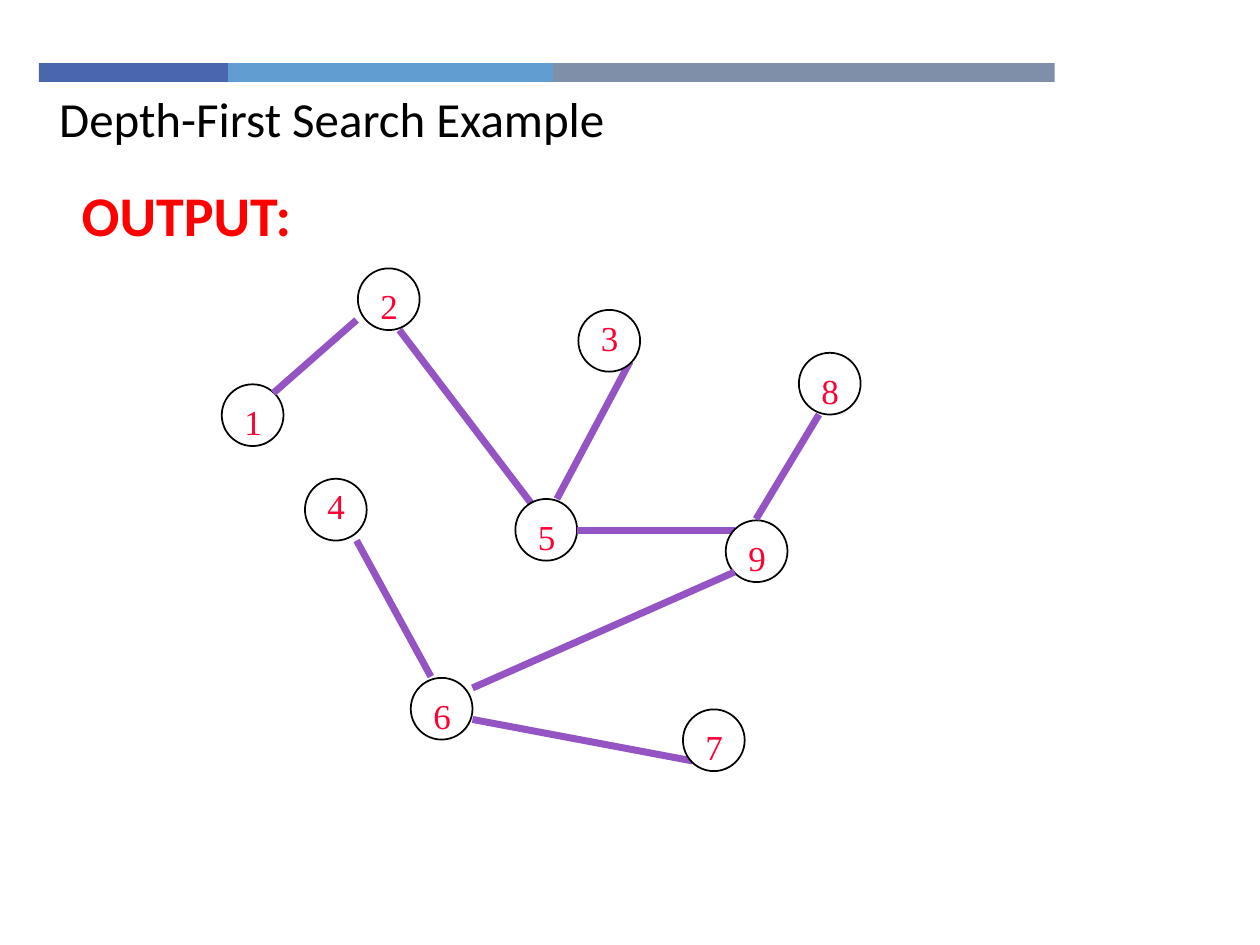
import dataclasses

import pptx
import pptx.dml.color
import pptx.enum.shapes
import pptx.enum.text
import pptx.util
from lxml import etree

Inches = pptx.util.Inches
Shape = pptx.enum.shapes.MSO_SHAPE
Fit = pptx.enum.text.MSO_AUTO_SIZE


@dataclasses.dataclass(frozen=True)
class Theme:
    bars: tuple = ("4A66AC", "629DD1", "7F8FA9")
    paper: str = "FFFFFF"
    ink: str = "000000"
    edge: str = "9454C3"
    digit: str = "FF0033"
    alert: str = "FF0000"
    sans: str = "Calibri"
    serif: str = "Times New Roman"
    title: int = 28
    head: int = 32
    label: int = 20
    thin: int = 1
    thick: int = 4


THEME = Theme()
BARS = (1.5, 2.58, 3.98)
SIZE = 0.49

# Nodes in drawing order: label, left, top, drop of the digit box
NODES = [
    ("1", 1.76, 3.05, 0.08),
    ("2", 2.84, 2.13, 0.08),
    ("5", 4.09, 3.96, 0.08),
    ("9", 5.76, 4.13, 0.08),
    ("8", 6.34, 2.8, 0.08),
    ("6", 3.26, 5.38, 0.08),
    ("4", 2.42, 3.8, 0),
    ("7", 5.42, 5.63, 0.08),
    ("3", 4.59, 2.46, 0),
]
# The tree edge that follows each node but the last: x1, y1, x2, y2
EDGES = [
    (2.83, 2.54, 2.17, 3.12),
    (3.17, 2.62, 4.25, 4.04),
    (4.58, 4.21, 5.83, 4.21),
    (6.5, 3.29, 6, 4.12),
    (3.75, 5.46, 5.83, 4.54),
    (2.83, 4.29, 3.42, 5.37),
    (3.75, 5.71, 5.5, 6.04),
    (5, 2.87, 4.42, 3.96),
]


def rgb(code):
    return pptx.dml.color.RGBColor.from_string(code)


def inch(*nums):
    return [Inches(n) for n in nums]


def write(shape, text, size, face, color, bold=False, fit=Fit.SHAPE_TO_FIT_TEXT):
    frame = shape.text_frame
    frame.text = text
    look = {
        "word_wrap": True,
        "auto_size": fit,
        "vertical_anchor": pptx.enum.text.MSO_ANCHOR.TOP,
    }
    for key, val in look.items():
        setattr(frame, key, val)
    para = frame.paragraphs[0]
    para.alignment = pptx.enum.text.PP_ALIGN.LEFT
    font = para.runs[0].font
    for key, val in {"size": pptx.util.Pt(size), "name": face, "bold": bold}.items():
        setattr(font, key, val)
    font.color.rgb = rgb(color)


def solid(parent, kind, box, color):
    """Add a filled preset shape with no outline and no shadow."""
    shape = parent.add_shape(kind, *inch(*box))
    shape.shadow.inherit = False
    shape.fill.solid()
    shape.fill.fore_color.rgb = rgb(color)
    shape.line.fill.background()
    return shape


def banner(slide, left, top, height):
    group = slide.shapes.add_group_shape()
    for width, color in zip(BARS, THEME.bars):
        solid(group.shapes, Shape.RECTANGLE, (left, top, width, height), color)
        left += width


def title(slide, box):
    shape = slide.shapes.title
    for key, val in zip(("left", "top", "width", "height"), inch(*box)):
        setattr(shape, key, val)
    write(shape, "Depth-First Search Example", THEME.title, THEME.sans,
          THEME.ink, fit=Fit.NONE)


def head(slide, box):
    write(slide.shapes.add_textbox(*inch(*box)), "OUTPUT:", THEME.head,
          THEME.sans, THEME.alert, bold=True)


def node(slide, label, left, top, drop):
    group = slide.shapes.add_group_shape()
    disc = solid(group.shapes, Shape.OVAL, (left, top, SIZE, SIZE), THEME.paper)
    disc.line.color.rgb = rgb(THEME.ink)
    disc.line.width = pptx.util.Pt(THEME.thin)
    text = group.shapes.add_textbox(*inch(left + 0.08, top + drop, 0.25, 0.43))
    write(text, label, THEME.label, THEME.serif, THEME.digit)


def edge(slide, ends):
    line = slide.shapes.add_connector(
        pptx.enum.shapes.MSO_CONNECTOR.STRAIGHT, *inch(*ends))
    line.line.color.rgb = rgb(THEME.edge)
    line.line.width = pptx.util.Pt(THEME.thick)
    props = line._element.spPr
    etree.SubElement(props, pptx.oxml.ns.qn("a:effectLst"))


def tree(slide, left, top):
    """Draw the search tree, nodes and edges stacked in turn."""
    dx, dy = left - NODES[0][1], top - NODES[1][2]
    for spot, (label, x, y, drop) in enumerate(NODES):
        node(slide, label, x + dx, y + dy, drop)
        if spot < len(EDGES):
            x1, y1, x2, y2 = EDGES[spot]
            edge(slide, (x1 + dx, y1 + dy, x2 + dx, y2 + dy))


def main():
    deck = pptx.Presentation()
    deck.slide_width, deck.slide_height = inch(10, 7.5)
    slide = deck.slides.add_slide(deck.slide_layouts[5])
    banner(slide, 0.31, 0.5, 0.15)
    tree(slide, 1.76, 2.13)
    head(slide, (0.55, 1.38, 4.37, 0.64))
    title(slide, (0.37, 0.65, 5.13, 0.54))
    deck.save("out.pptx")


if __name__ == "__main__":
    main()
